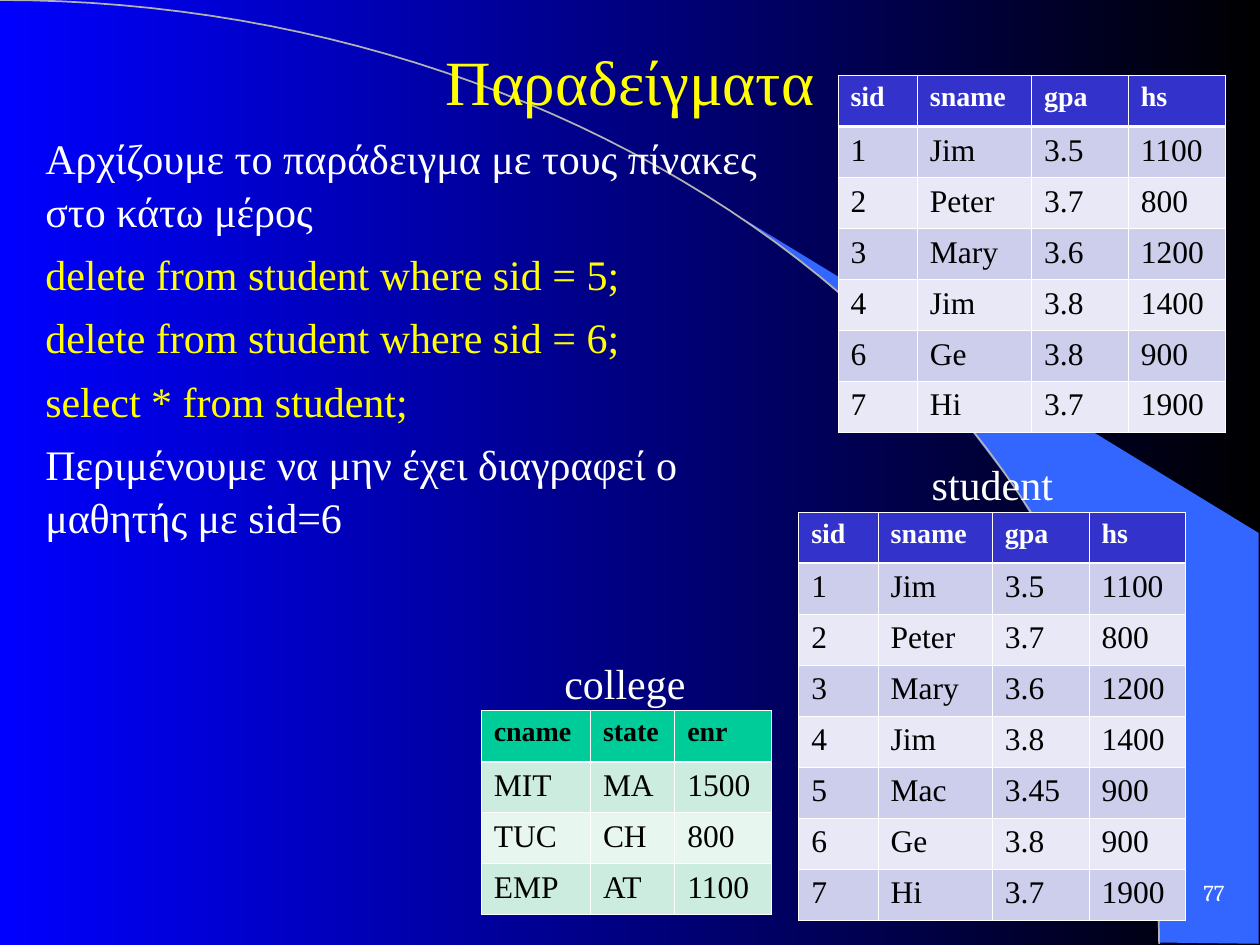
from dataclasses import dataclass
from math import cos, pi, sin

from lxml import etree
from pptx import Presentation
from pptx.dml.color import RGBColor
from pptx.enum.text import MSO_ANCHOR, MSO_AUTO_SIZE, PP_ALIGN
from pptx.oxml.ns import qn
from pptx.util import Pt

LEFT, MID, RIGHT = PP_ALIGN.LEFT, PP_ALIGN.CENTER, PP_ALIGN.RIGHT
TOP, CENTER = MSO_ANCHOR.TOP, MSO_ANCHOR.MIDDLE
FIXED = MSO_AUTO_SIZE.NONE


@dataclass(frozen=True)
class Theme:
    """Colours, fonts and type sizes of the slide."""
    blue: str = "0000FF"
    black: str = "000000"
    white: str = "FFFFFF"
    yellow: str = "FFFF00"
    wedge: str = "3366FF"
    arc: str = "B2B2B2"
    indigo: tuple = ("3333CC", "CDCDEC", "E8E8F6")
    green: tuple = ("00CC99", "CBECDE", "E7F6EF")
    serif: str = "Times New Roman"
    page: str = "Cambria"
    title: int = 36
    body: int = 24
    cell: int = 18
    head: int = 16
    number: int = 13
    thin: float = 0.45
    thick: float = 1.47


T = Theme()
ROW = 29.16
STUDENT = (45.4, 65.3, 55.3, 55.3)
COLLEGE = (62.4, 48.2, 55.3)
WEDGE = [
    (662.4, 538.6), (719.3, 539.3), (719.3, 304.6), (424.1, 124.6),
    (449.3, 143.3), (470.2, 159.8), (493.2, 180), (515.5, 201.6),
    (548.6, 237.6), (578.2, 276.5), (599, 310.3), (617.8, 344.9),
    (632.2, 380.2), (643, 411.8), (650.2, 438.5), (657.4, 472.3),
    (660.2, 501.1),
]
NAMES = ["sid", "sname", "gpa", "hs"]
FIRST = [
    ["1", "Jim", "3.5", "1100"],
    ["2", "Peter", "3.7", "800"],
    ["3", "Mary", "3.6", "1200"],
    ["4", "Jim", "3.8", "1400"],
]
MAC = ["5", "Mac", "3.45", "900"]
LAST = [["6", "Ge", "3.8", "900"], ["7", "Hi", "3.7", "1900"]]
SCHOOLS = [
    ["cname", "state", "enr"],
    ["MIT", "MA", "1500"],
    ["TUC", "CH", "800"],
    ["EMP", "AT", "1100"],
]
STEPS = [
    ("Αρχίζουμε το παράδειγμα με τους πίνακες στο κάτω μέρος", T.white),
    ("delete from student where sid = 5;", T.yellow),
    ("delete from student where sid = 6;", T.yellow),
    ("select * from student;", T.yellow),
    ("Περιμένουμε να μην έχει διαγραφεί ο μαθητής με sid=6", T.white),
]


def rgb(tone):
    """Turn a hex string into a colour."""
    return RGBColor.from_string(tone)


def put(item, **values):
    """Set each named value on an item."""
    for name, value in values.items():
        setattr(item, name, value)


def style(para, size, tone, bold=False, face=T.serif):
    """Format the font of a paragraph."""
    put(para.font, name=face, size=Pt(size), bold=bold)
    para.font.color.rgb = rgb(tone)


def place(shape, box):
    """Move and size a shape to a box in points."""
    names = ("left", "top", "width", "height")
    put(shape, **dict(zip(names, map(Pt, box))))


def setup(frame, anchor=TOP, wrap=True, side=6.5):
    """Set the margins, wrap and anchor of a text frame."""
    put(frame, word_wrap=wrap, auto_size=FIXED, vertical_anchor=anchor,
        margin_left=Pt(side), margin_right=Pt(side),
        margin_top=Pt(3.6), margin_bottom=Pt(3.6))


def backdrop(slide):
    """Fill the background from blue to black."""
    fill = slide.background.fill
    fill.gradient()
    fill.gradient_angle = 0
    for stop, spot, tone in zip(fill.gradient_stops, (0, 1), (T.blue, T.black)):
        stop.position = spot
        stop.color.rgb = rgb(tone)


def outline(slide, points, close):
    """Build a freeform through points."""
    start, *rest = points
    pen = slide.shapes.build_freeform(Pt(start[0]), Pt(start[1]))
    pen.add_line_segments([(Pt(x), Pt(y)) for x, y in rest], close=close)
    shape = pen.convert_to_shape()
    shape.shadow.inherit = False
    return shape


def sweep(slide, box):
    """Draw the wedge and the quarter arc that spans the box."""
    wedge = outline(slide, WEDGE, True)
    wedge.fill.solid()
    wedge.fill.fore_color.rgb = rgb(T.wedge)
    wedge.line.fill.background()
    x, y, wide, high = box
    turns = [pi / 2 * i / 60 for i in range(61)]
    curve = [(x + wide * sin(t), y + high * (1 - cos(t))) for t in turns]
    arc = outline(slide, curve, False)
    arc.fill.background()
    arc.line.color.rgb = rgb(T.arc)
    arc.line.width = Pt(1)


def heading(slide, box, text):
    """Place the title in front of the backdrop shapes."""
    title = slide.shapes.title
    slide.shapes.element.append(title.element)
    place(title, box)
    setup(title.text_frame, CENTER)
    title.text_frame.text = text
    para = title.text_frame.paragraphs[0]
    para.alignment = MID
    style(para, T.title, T.yellow)


def label(slide, box, text, size=T.body, face=T.serif, align=MID, **frame):
    """Place one line of white text in a box."""
    shape = slide.shapes.add_textbox(*map(Pt, box))
    setup(shape.text_frame, **frame)
    para = shape.text_frame.paragraphs[0]
    put(para, text=text, alignment=align)
    style(para, size, T.white, face=face)


def story(slide, box, steps):
    """Place the steps of the example as paragraphs."""
    frame = slide.shapes.add_textbox(*map(Pt, box)).text_frame
    setup(frame)
    for i, (text, tone) in enumerate(steps):
        para = frame.add_paragraph() if i else frame.paragraphs[0]
        put(para, text=text, alignment=LEFT, line_spacing=1.05,
            space_before=Pt(6 if i else 0))
        style(para, T.body, tone)


def border(cell, row):
    """Draw white cell borders, thick below the header."""
    props = cell._tc.get_or_add_tcPr()
    thick = {0: "B", 1: "T"}.get(row)
    for side in "LRTB":
        width = T.thick if side == thick else T.thin
        line = etree.SubElement(props, qn(f"a:ln{side}"), w=str(Pt(width)))
        fill = etree.SubElement(line, qn("a:solidFill"))
        etree.SubElement(fill, qn("a:srgbClr"), val=T.white)


def grid(slide, spot, widths, rows, tones, ink):
    """Place a banded table with its corner at a spot."""
    box = (*spot, sum(widths), ROW * len(rows))
    table = slide.shapes.add_table(len(rows), len(widths), *map(Pt, box)).table
    for col, width in zip(table.columns, widths):
        col.width = Pt(width)
    for r, row in enumerate(rows):
        table.rows[r].height = Pt(ROW)
        tone = tones[2 - r % 2] if r else tones[0]
        for c, text in enumerate(row):
            cell = table.cell(r, c)
            border(cell, r)
            cell.fill.solid()
            cell.fill.fore_color.rgb = rgb(tone)
            cell.text = text
            para = cell.text_frame.paragraphs[0]
            style(para, T.cell if r else T.head, T.black if r else ink, not r)


def main():
    """Build and save the slide."""
    deck = Presentation()
    put(deck, slide_width=Pt(720), slide_height=Pt(540))
    slide = deck.slides.add_slide(deck.slide_layouts[5])
    backdrop(slide)
    sweep(slide, (0, 0, 662.4, 539.3))
    label(slide, (666, 491.8, 40.3, 36), "77", T.number, T.page, RIGHT,
          anchor=CENTER, wrap=False)
    heading(slide, (54, 9.4, 612, 73.4), "Παραδείγματα")
    story(slide, (19.4, 70.6, 447.8, 324), STEPS)
    grid(slide, (275, 406.1), COLLEGE, SCHOOLS, T.green, T.black)
    label(slide, (303.1, 372.2, 108, 36), "college", side=7.2)
    label(slide, (513.4, 258.5, 107.3, 36), "student", side=7.2)
    grid(slide, (456.4, 292.6), STUDENT, [NAMES, *FIRST, MAC, *LAST],
         T.indigo, T.white)
    grid(slide, (478.8, 43.2), STUDENT, [NAMES, *FIRST, *LAST],
         T.indigo, T.white)
    deck.save("out.pptx")


if __name__ == "__main__":
    main()
